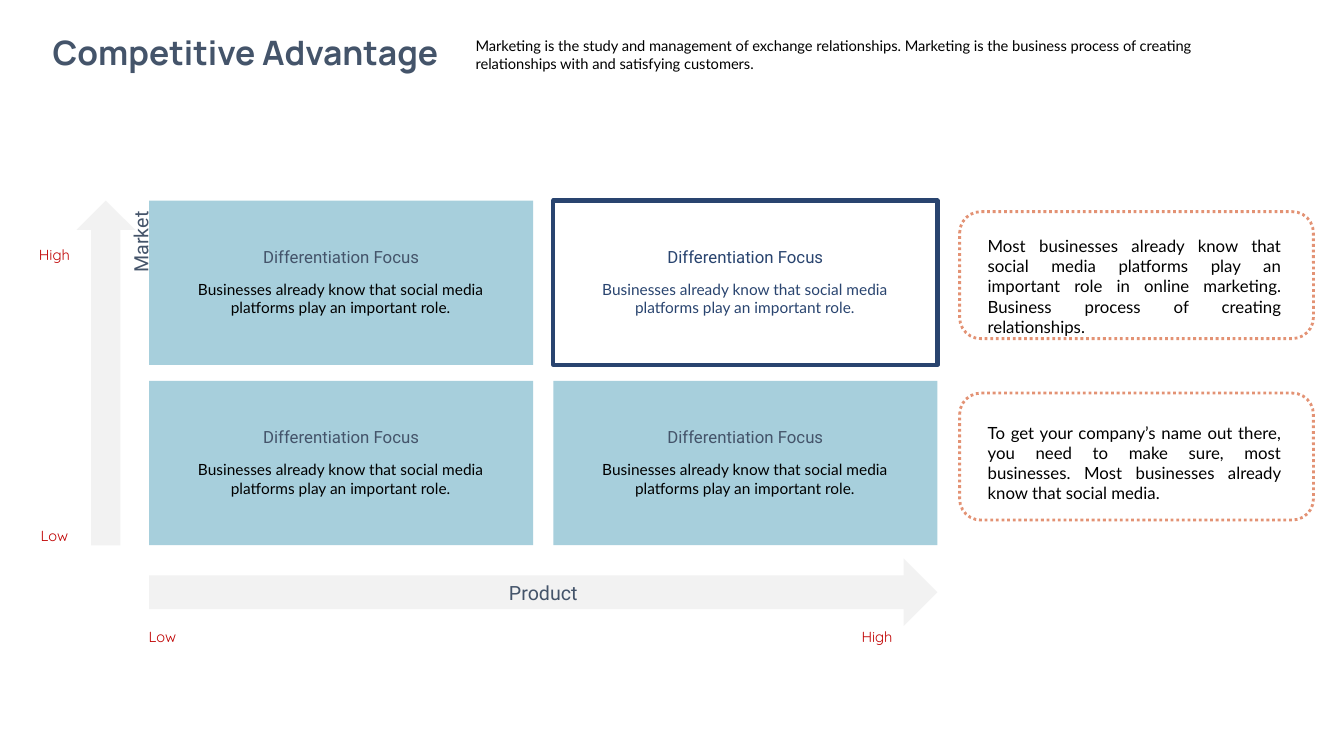
from dataclasses import dataclass
from itertools import product

from pptx import Presentation
from pptx import util as u
from pptx.dml.color import RGBColor
from pptx.enum import dml, shapes, text

COLUMNS, ROWS = 133.33, 75
SLIDE_WIDTH, SLIDE_HEIGHT = u.Inches(13.33), u.Inches(7.5)

COLOURS = {
    "slate": "44546A",
    "black": "000000",
    "navy": "29446F",
    "sky": "A7CFDC",
    "grey": "F2F2F2",
    "red": "C00000",
    "coral": "E39274",
}
SHAPE = shapes.MSO_SHAPE
ALIGN = text.PP_ALIGN


@dataclass(frozen=True)
class Box:
    column: float
    row: float
    columns: float
    rows: float

    def inside(self, column: float, row: float, columns: float, rows: float) -> "Box":
        return Box(self.column + column, self.row + row, columns, rows)

    def lengths(self) -> list[int]:
        return [
            round(SLIDE_WIDTH * self.column / COLUMNS),
            round(SLIDE_HEIGHT * self.row / ROWS),
            round(SLIDE_WIDTH * self.columns / COLUMNS),
            round(SLIDE_HEIGHT * self.rows / ROWS),
        ]


@dataclass(frozen=True)
class Style:
    font: str
    size: float
    colour: str
    align: ALIGN = ALIGN.CENTER
    bold: bool = False


@dataclass(frozen=True)
class Label:
    words: str
    box: Box
    style: Style
    rotation: float = 0


@dataclass(frozen=True)
class Panel:
    preset: SHAPE
    box: Box
    fill: str = ""
    line: str = ""
    line_width: float = 0
    dotted: bool = False


TITLE = Style("Manrope", 24, "slate", bold=True)
INTRO = Style("Lato", 10.5, "black", ALIGN.LEFT)
AXIS = Style("Roboto", 14, "slate")
SCALE = Style("Quicksand", 10.5, "red")
CALLOUT = Style("Lato", 12, "black", ALIGN.JUSTIFY)

HEADER = [
    Label("Competitive Advantage", Box(2.5, 2.7, 43.7, 5), TITLE),
    Label(
        "Marketing is the study and management of exchange relationships. "
        "Marketing is the business process of creating relationships with "
        "and satisfying customers.",
        Box(46.2, 3.2, 77.2, 4.5),
        INTRO,
    ),
]
ARROWS = [
    Panel(SHAPE.UP_ARROW, Box(7.6, 19.9, 5.8, 34.2), fill="grey"),
    Panel(SHAPE.RIGHT_ARROW, Box(14.8, 55.4, 78.2, 6.7), fill="grey"),
]
AXIS_LABELS = [
    Label("Market", Box(7.1, 22.3, 13.8, 3.4), AXIS, rotation=270),
    Label("Product", Box(48, 57.1, 11.8, 3.4), AXIS),
]
SCALE_MARKS = [
    ("High", 2.8, 23.9),
    ("Low", 2.8, 51.8),
    ("Low", 13.5, 61.8),
    ("High", 84.4, 61.8),
]
CALLOUTS = [
    "Most businesses already know that social media platforms play an "
    "important role in online marketing. Business process of creating "
    "relationships.",
    "To get your company’s name out there, you need to make sure, most "
    "businesses. Most businesses already know that social media.",
]
CALLOUT_TEXT_ROWS = [22.9, 41.4]


def draw_label(slide, label: Label) -> None:
    shape = slide.shapes.add_textbox(*label.box.lengths())
    shape.rotation = label.rotation
    frame = shape.text_frame
    frame.word_wrap = True
    frame.text = label.words
    paragraph = frame.paragraphs[0]
    paragraph.alignment = label.style.align
    font = paragraph.runs[0].font
    font.name = label.style.font
    font.size = u.Pt(label.style.size)
    font.bold = label.style.bold
    font.color.rgb = RGBColor.from_string(COLOURS[label.style.colour])


def draw_panel(slide, panel: Panel) -> None:
    shape = slide.shapes.add_shape(panel.preset, *panel.box.lengths())
    shape.shadow.inherit = False
    if panel.fill:
        shape.fill.solid()
        shape.fill.fore_color.rgb = RGBColor.from_string(COLOURS[panel.fill])
    else:
        shape.fill.background()
    if panel.line:
        shape.line.color.rgb = RGBColor.from_string(COLOURS[panel.line])
        shape.line.width = u.Pt(panel.line_width)
    else:
        shape.line.fill.background()
    if panel.dotted:
        shape.line.dash_style = dml.MSO_LINE.ROUND_DOT


def draw_quadrant(slide, column: int, row: int) -> None:
    box = Box(14.8 + 40.1 * column, 19.9 + 17.9 * row, 38.1, 16.3)
    highlighted = (column, row) == (1, 0)
    if highlighted:
        draw_panel(slide, Panel(SHAPE.RECTANGLE, box, line="navy", line_width=3))
    else:
        draw_panel(slide, Panel(SHAPE.RECTANGLE, box, fill="sky"))
    heading = Style("Roboto", 12, "navy" if highlighted else "slate")
    body = Style("Lato", 11, "navy" if highlighted else "black")
    draw_label(slide, Label("Differentiation Focus", box.inside(7.5, 4.05, 23.1, 3), heading))
    draw_label(
        slide,
        Label(
            "Businesses already know that social media platforms play an important role.",
            box.inside(2.6, 7.4, 32.8, 4.7),
            body,
        ),
    )


def main() -> None:
    presentation = Presentation()
    presentation.slide_width, presentation.slide_height = SLIDE_WIDTH, SLIDE_HEIGHT
    slide = presentation.slides.add_slide(presentation.slide_layouts[6])

    for label in HEADER:
        draw_label(slide, label)
    for row, column in product((1, 0), (0, 1)):
        draw_quadrant(slide, column, row)
    for arrow in ARROWS:
        draw_panel(slide, arrow)
    for label in AXIS_LABELS:
        draw_label(slide, label)
    for words, column, row in SCALE_MARKS:
        draw_label(slide, Label(words, Box(column, row, 5.2, 2.8), SCALE))
    for index, (words, text_row) in enumerate(zip(CALLOUTS, CALLOUT_TEXT_ROWS)):
        draw_label(slide, Label(words, Box(97, text_row, 31.1, 9.1), CALLOUT))
        frame = Box(95.2, 21 + 18 * index, 35.1, 12.6)
        draw_panel(
            slide,
            Panel(SHAPE.ROUNDED_RECTANGLE, frame, line="coral", line_width=2, dotted=True),
        )

    presentation.save("out.pptx")


if __name__ == "__main__":
    main()
